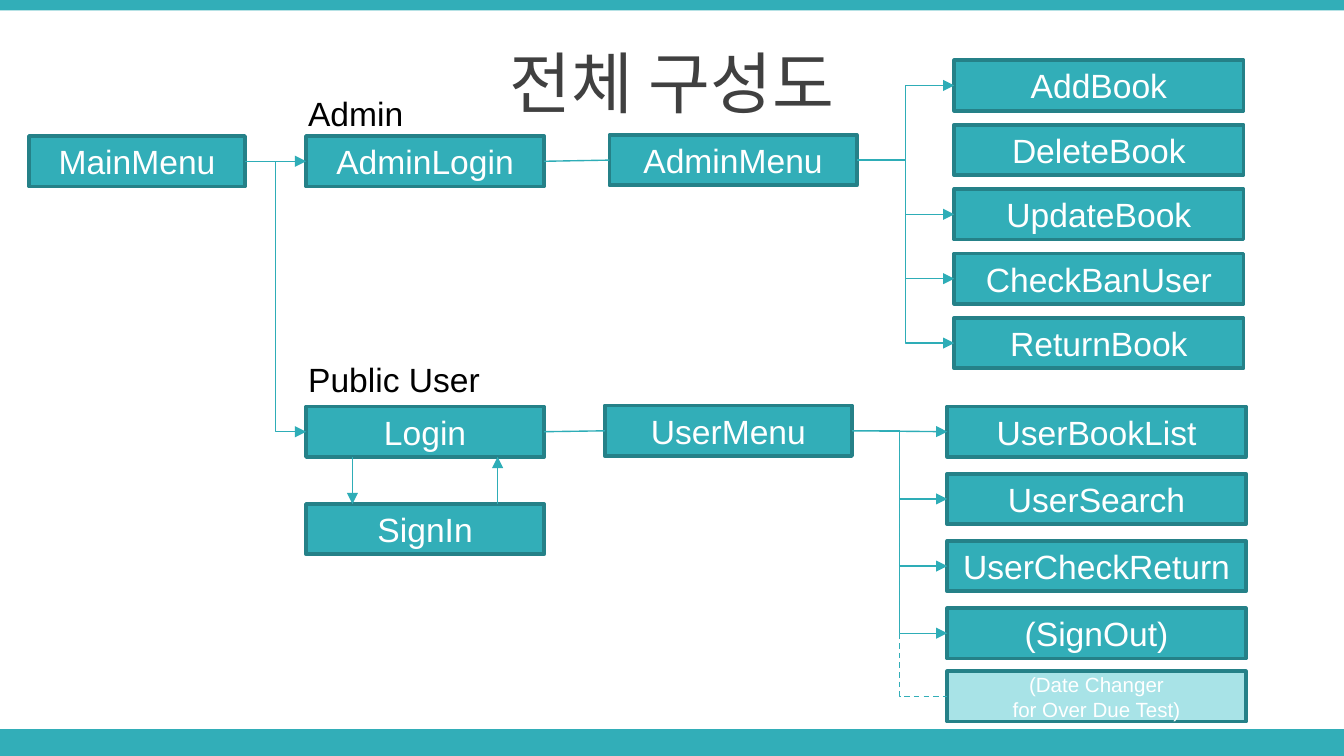
from lxml.etree import SubElement
from pptx import Presentation
from pptx.dml.color import RGBColor
from pptx.enum.dml import MSO_LINE
from pptx.enum.shapes import MSO_CONNECTOR, MSO_SHAPE
from pptx.enum.text import MSO_ANCHOR, PP_ALIGN
from pptx.oxml.ns import qn
from pptx.util import Pt

HUES = {
    "teal": "32AEB8",
    "edge": "258188",
    "link": "2EADB7",
    "pale": "A8E3E7",
    "white": "FFFFFF",
    "black": "000000",
    "gray": "404040",
}
TALL = 27
TOP, LEFT, RIGHT = 0, 1, 3
ADMIN = ["AddBook", "DeleteBook", "UpdateBook", "CheckBanUser", "ReturnBook"]
USER = ["UserBookList", "UserSearch", "UserCheckReturn", "(SignOut)"]


def hue(name):
    """Return the named colour."""
    return RGBColor.from_string(HUES[name])


def write(shape, text, size, tone, align, face="Arial"):
    """Write each line of text as a styled paragraph."""
    frame = shape.text_frame
    frame.text = text
    for para in frame.paragraphs:
        para.alignment = align
        font = para.font
        font.name, font.size = face, Pt(size)
        font.color.rgb = hue(tone)
        props = para._p.pPr.find(qn("a:defRPr"))
        SubElement(props, qn("a:ea")).set("typeface", face)


def block(slide, x, y, w, h, fill):
    """Draw a plain filled rectangle."""
    rect = slide.shapes.add_shape(MSO_SHAPE.RECTANGLE, Pt(x), Pt(y), Pt(w), Pt(h))
    rect.shadow.inherit = False
    rect.fill.solid()
    rect.fill.fore_color.rgb = hue(fill)
    rect.line.fill.background()
    return rect


def node(slide, text, x, y, w, fill="teal", size=18):
    """Draw a bordered menu box with centred text."""
    rect = block(slide, x, y, w, TALL, fill)
    rect.line.color.rgb = hue("edge")
    rect.line.width = Pt(2)
    frame = rect.text_frame
    frame.word_wrap = True
    frame.vertical_anchor = MSO_ANCHOR.MIDDLE
    frame.margin_left = frame.margin_right = 0
    write(rect, text, size, "white", PP_ALIGN.CENTER)
    return rect


def label(slide, text, x, y, w):
    """Place a heading above a branch."""
    box = slide.shapes.add_textbox(Pt(x), Pt(y), Pt(w), Pt(29))
    box.text_frame.word_wrap = True
    write(box, text, 18, "black", PP_ALIGN.LEFT)


def wire(slide, ends, kind=MSO_CONNECTOR.STRAIGHT, head=True, tone="link"):
    """Draw a thin connector between two points."""
    link = slide.shapes.add_connector(kind, *map(Pt, ends))
    link.line.color.rgb = hue(tone)
    link.line.width = Pt(0.75)
    if head:
        SubElement(link.line._get_or_add_ln(), qn("a:tailEnd")).set("type", "triangle")
    SubElement(link._element.spPr, qn("a:effectLst"))
    return link


def join(slide, start, end, bent=False, head=True, tone="link"):
    """Link the right side of one box to the left side of another."""
    kind = MSO_CONNECTOR.ELBOW if bent else MSO_CONNECTOR.STRAIGHT
    link = wire(slide, (0, 0, 0, 0), kind, head, tone)
    link.begin_connect(start, RIGHT)
    link.end_connect(end, LEFT)
    return link


def bands(slide, w, h):
    """Draw the bars at the top and bottom edges."""
    block(slide, 0, 0, w, 5.6, "teal")
    block(slide, 0, h - 14.4, w, 14.4, "teal")


def title(slide, x, y, w, h):
    """Place the centred slide title."""
    box = slide.shapes.add_textbox(Pt(x), Pt(y), Pt(w), Pt(h))
    box.text_frame.word_wrap = True
    box.text_frame.vertical_anchor = MSO_ANCHOR.MIDDLE
    write(box, "전체 구성도", 36, "gray", PP_ALIGN.CENTER, "Noto Sans CJK KR")


def admin(slide, x, y):
    """Draw the admin branch and return its entry box."""
    label(slide, "Admin", x - 6, y + 13.8, 69)
    login = node(slide, "AdminLogin", x, y + 40.6, 127.5)
    menu = node(slide, "AdminMenu", x + 162.5, y + 40, 132.5)
    join(slide, login, menu, head=False)
    for i, name in enumerate(ADMIN):
        item = node(slide, name, x + 347.2, y + i * 34.5, 155)
        if name != "DeleteBook":
            join(slide, menu, item, bent=True)
    return login


def user(slide, x, y):
    """Draw the public user branch and return its entry box."""
    label(slide, "Public User", x - 6, y - 29, 109)
    login = node(slide, "Login", x, y, 127.5)
    menu = node(slide, "UserMenu", x + 160, y - 0.5, 132.5)
    join(slide, login, menu, head=False)
    node(slide, "SignIn", x, y + 52.2, 127.5)
    wire(slide, (x + 24.8, y + TALL, x + 24.8, y + 52.2))
    wire(slide, (x + 102.6, y + 52.2, x + 102.6, y + TALL))
    for i, name in enumerate(USER):
        item = node(slide, name, x + 343.5, y + i * 36, 160)
        join(slide, menu, item, bent=i > 0)
    text = "(Date Changer\nfor Over Due Test)"
    test = node(slide, text, x + 343.5, y + 141.8, 160, "pale", 11)
    link = join(slide, menu, test, bent=True, head=False, tone="teal")
    link.line.dash_style = MSO_LINE.DASH
    return login


def main():
    """Build and save the menu structure slide."""
    deck = Presentation()
    deck.slide_width, deck.slide_height = Pt(720), Pt(405)
    slide = deck.slides.add_slide(deck.slide_layouts[6])
    bands(slide, 720, 405)
    title(slide, 0, 21, 720, 45)
    start = node(slide, "MainMenu", 15.6, 72.9, 115.7)
    join(slide, start, admin(slide, 164, 32.3))
    join(slide, start, user(slide, 164, 217.8), bent=True)
    deck.save("out.pptx")


if __name__ == "__main__":
    main()
